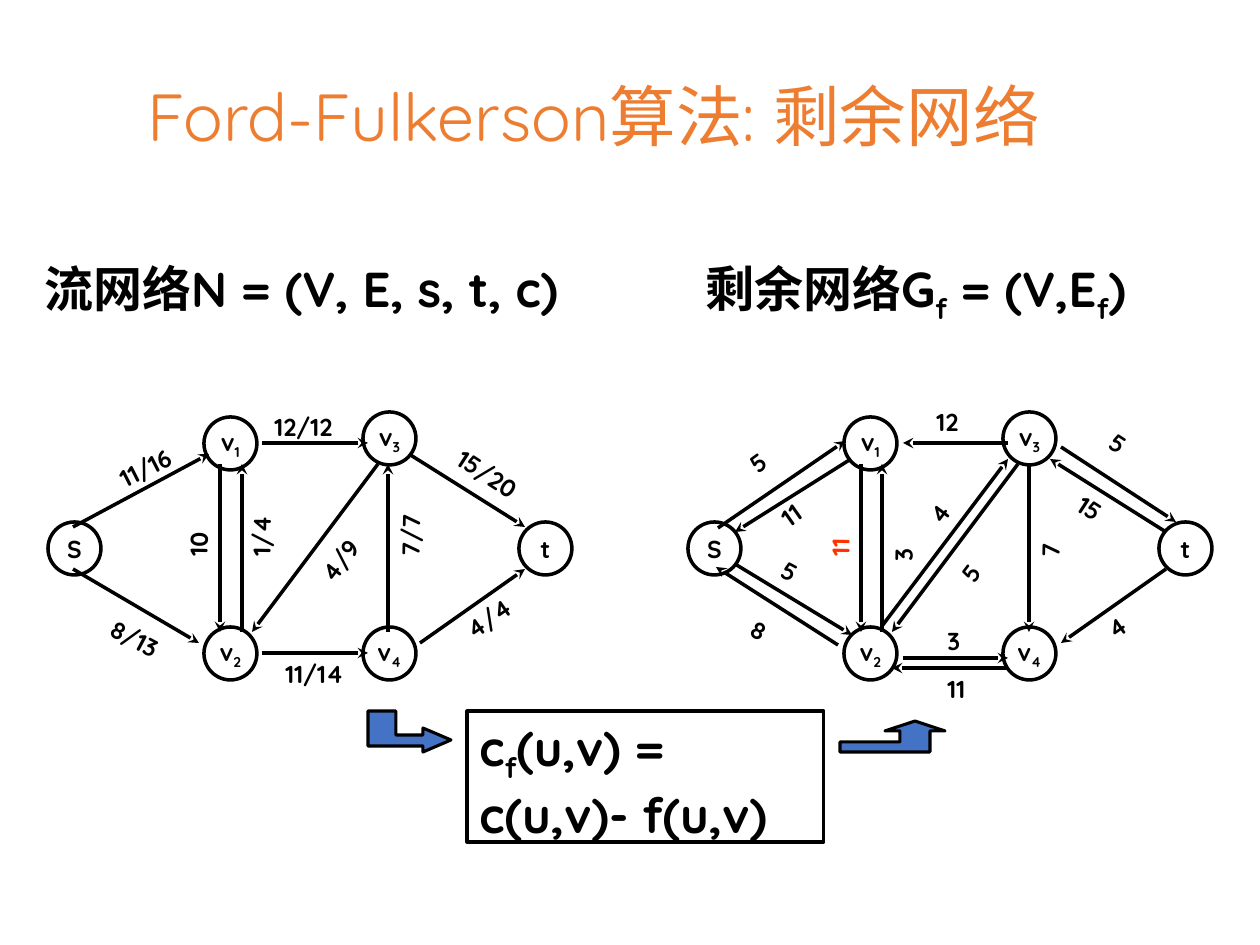
"""Build a slide that sets a flow network beside its residual network."""
import lxml.etree
import pptx
import pptx.dml.color
import pptx.enum.shapes
import pptx.enum.text
import pptx.oxml.ns
import pptx.util

SCALE = 914400 / 126
BLACK = pptx.dml.color.RGBColor(0x00, 0x00, 0x00)
WHITE = pptx.dml.color.RGBColor(0xFF, 0xFF, 0xFF)
ORANGE = pptx.dml.color.RGBColor(0xED, 0x7D, 0x31)
RED = pptx.dml.color.RGBColor(0xFF, 0x33, 0x00)
BLUE = pptx.dml.color.RGBColor(0x44, 0x72, 0xC4)

SHAPE = pptx.enum.shapes.MSO_SHAPE
ALIGN = pptx.enum.text.PP_ALIGN
ANCHOR = pptx.enum.text.MSO_ANCHOR
FIT = pptx.enum.text.MSO_AUTO_SIZE

TITLE_FONT = {"name": "Quicksand", "size": pptx.util.Pt(38), "bold": False}
HEADING_FONT = {"name": "Quicksand", "size": pptx.util.Pt(28), "bold": True}
GRAPH_FONT = {"name": "Quicksand", "size": pptx.util.Pt(14), "bold": True}
TITLE_FRAME = {"word_wrap": True, "auto_size": FIT.NONE, "vertical_anchor": ANCHOR.MIDDLE}
TEXT_FRAME = {"word_wrap": True, "auto_size": FIT.SHAPE_TO_FIT_TEXT, "vertical_anchor": ANCHOR.TOP}
NODE_FRAME = {"word_wrap": False, "auto_size": FIT.NONE, "vertical_anchor": ANCHOR.MIDDLE}

NODE_SIZE = 53
LABEL_WIDTH, LABEL_HEIGHT = 95, 42
RESIDUAL_LEFT = 640

NODES = [
    ("S", 48, 522), ("t", 519, 522), ("v|1", 204, 417),
    ("v|2", 204, 627), ("v|3", 363, 412), ("v|4", 363, 627),
]
FLOW_EDGES = [
    (262, 443, 368, 443), (262, 653, 368, 653), (73, 527, 209, 454),
    (73, 569, 199, 643), (220, 464, 220, 632), (242, 632, 242, 464),
    (388, 632, 388, 464), (378, 464, 252, 632), (409, 454, 525, 527),
    (420, 643, 525, 569),
]
FLOW_LABELS = [
    ("10", 151, 500, 271), ("8/13", 96, 622, 28), ("12/12", 262, 406, 0),
    ("11/16", 105, 443, 333), ("1/4", 214, 500, 271), ("4/4", 450, 591, 325),
    ("11/14", 273, 653, 0), ("15/20", 442, 454, 33), ("7/7", 363, 500, 271),
    ("4/9", 300, 530, 307),
]
RESIDUAL_EDGES = [
    (368, 443, 263, 443), (263, 658, 368, 658), (78, 528, 205, 441),
    (198, 645, 76, 567), (221, 464, 221, 632), (242, 632, 242, 464),
    (389, 464, 389, 632), (378, 464, 252, 632), (421, 447, 536, 522),
    (526, 569, 421, 643), (211, 459, 95, 532), (95, 564, 212, 635),
    (242, 626, 368, 459), (368, 668, 252, 668), (526, 532, 410, 459),
]
RESIDUAL_LABELS = [
    ("11", 153, 500, 271, RED), ("8", 96, 622, 28), ("12", 284, 401, 0),
    ("5", 93, 425, 324), ("3", 216, 505, 271), ("4", 451, 591, 325),
    ("3", 295, 620, 0), ("5", 454, 437, 33), ("7", 363, 501, 271),
    ("5", 300, 530, 307), ("11", 125, 479, 325), ("5", 127, 563, 28),
    ("15", 422, 500, 33), ("4", 268, 472, 307), ("11", 295, 668, 0),
]
ARROW_TO_FORMULA = [
    (451, 740), (423, 728), (423, 735), (396, 735), (396, 711),
    (368, 711), (368, 746), (423, 746), (423, 752),
]
ARROW_TO_RESIDUAL = [
    (915, 721), (885, 731), (900, 731), (900, 742), (840, 742),
    (840, 752), (930, 752), (930, 731), (945, 731),
]


def px(*lengths):
    """Turn pixel lengths into EMU."""
    return [pptx.util.Emu(round(length * SCALE)) for length in lengths]


def apply(target, values):
    """Set each named attribute on the target."""
    for name, value in values.items():
        setattr(target, name, value)


def write(box, text, font, frame, color=BLACK, align=ALIGN.LEFT):
    """Write one paragraph in which every second part between bars is subscript."""
    apply(box.text_frame, frame)
    para = box.text_frame.paragraphs[0]
    para.alignment = align
    for index, part in enumerate(text.split("|")):
        span = para.add_run()
        span.text = part
        apply(span.font, font)
        span.font.color.rgb = color
        if index % 2:
            span._r.get_or_add_rPr().set("baseline", "-25000")
    return para


def paint(shape, fill, width):
    """Give a shape a fill, a black outline and no shadow."""
    shape.shadow.inherit = False
    if fill is None:
        shape.fill.background()
    else:
        shape.fill.solid()
        shape.fill.fore_color.rgb = fill
    shape.line.color.rgb = BLACK
    shape.line.width = pptx.util.Pt(width)


def add_title(page, text):
    """Place and format the title placeholder."""
    title = page.shapes.title
    apply(title, dict(zip(("left", "top", "width", "height"), px(0, 63, 1187, 96))))
    para = write(title, text, TITLE_FONT, TITLE_FRAME, ORANGE, ALIGN.CENTER)
    para.line_spacing = 1.1


def add_text(page, text, bounds, font, color=BLACK, rotation=0):
    """Add a text box, turned if asked."""
    box = page.shapes.add_textbox(*px(*bounds))
    box.rotation = rotation
    write(box, text, font, TEXT_FRAME, color)


def add_node(page, name, left, top):
    """Add a circle that carries a vertex name."""
    node = page.shapes.add_shape(SHAPE.OVAL, *px(left, top, NODE_SIZE, NODE_SIZE))
    paint(node, WHITE, 2)
    write(node, name, GRAPH_FONT, NODE_FRAME, align=ALIGN.CENTER)


def add_edge(page, *ends):
    """Add a straight arrow with a stealth head."""
    edge = page.shapes.add_connector(pptx.enum.shapes.MSO_CONNECTOR.STRAIGHT, *px(*ends))
    edge.line.color.rgb = BLACK
    edge.line.width = pptx.util.Pt(2)
    properties = edge._element.spPr
    qn = pptx.oxml.ns.qn
    lxml.etree.SubElement(properties.find(qn("a:ln")), qn("a:tailEnd"), type="stealth")
    lxml.etree.SubElement(properties, qn("a:effectLst"))


def add_graph(page, left, edges, labels):
    """Add the nodes, edges and edge labels of one network."""
    for name, x, y in NODES:
        add_node(page, name, left + x, y)
    for x1, y1, x2, y2 in edges:
        add_edge(page, left + x1, y1, left + x2, y2)
    for text, x, y, rotation, *color in labels:
        bounds = (left + x, y, LABEL_WIDTH, LABEL_HEIGHT)
        add_text(page, text, bounds, GRAPH_FONT, *(color or [BLACK]), rotation)


def add_formula(page, text, bounds):
    """Add the framed formula."""
    box = page.shapes.add_shape(SHAPE.RECTANGLE, *px(*bounds))
    paint(box, None, 1.75)
    write(box, text, HEADING_FONT, TEXT_FRAME)


def add_block_arrow(page, points):
    """Add a bent block arrow from its outline."""
    outline = page.shapes.build_freeform(*points[0], scale=SCALE)
    outline.add_line_segments(points[1:], close=True)
    paint(outline.convert_to_shape(), BLUE, 1.75)


def main():
    """Build and save the deck."""
    deck = pptx.Presentation()
    deck.slide_width, deck.slide_height = px(1260, 945)
    page = deck.slides.add_slide(deck.slide_layouts[5])
    add_title(page, "Ford-Fulkerson算法: 剩余网络")
    add_text(page, "流网络N = (V, E, s, t, c)", (32, 252, 599, 72), HEADING_FONT)
    add_text(page, "剩余网络G|f| = (V,E|f|)", (693, 252, 514, 72), HEADING_FONT)
    add_graph(page, 0, FLOW_EDGES, FLOW_LABELS)
    add_graph(page, RESIDUAL_LEFT, RESIDUAL_EDGES, RESIDUAL_LABELS)
    add_formula(page, "c|f|(u,v) = c(u,v)- f(u,v)", (467, 711, 357, 131))
    for points in (ARROW_TO_FORMULA, ARROW_TO_RESIDUAL):
        add_block_arrow(page, points)
    deck.save("out.pptx")


if __name__ == "__main__":
    main()
